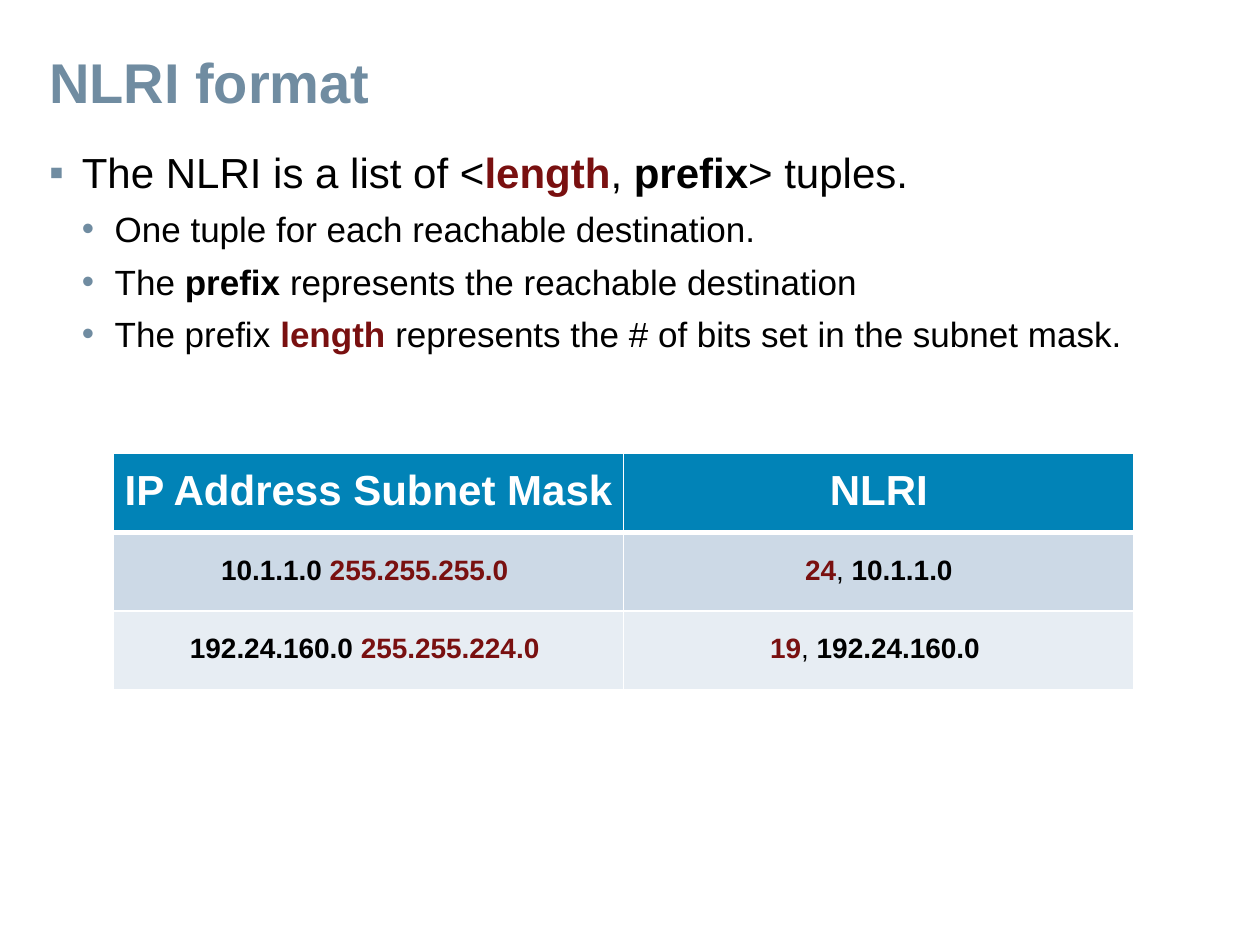
import pptx
import pptx.util
import pptx.dml.color
import pptx.enum.text
import pptx.oxml
import pptx.oxml.ns

COLORS = {"title": "708CA1", "text": "000000", "key": "791010", "white": "FFFFFF",
          "head": "0183B7", "odd": "CCD9E6", "even": "E7EDF3"}

# Run looks: colour name and weight
LOOKS = {"plain": ("text", False), "bold": ("text", True), "key": ("key", True),
         "title": ("title", True), "head": ("white", True)}

# Paragraphs and cells are lists of (text, look) runs
TITLE = [("NLRI format", "title")]
BULLETS = [
    (0, [("The NLRI is a list of <", "plain"), ("length", "key"), (", ", "plain"),
         ("prefix", "bold"), ("> tuples.", "plain")]),
    (1, [("One tuple for each reachable destination.", "plain")]),
    (1, [("The", "plain"), (" prefix ", "bold"),
         ("represents the reachable destination", "plain")]),
    (1, [("The prefix ", "plain"), ("length ", "key"),
         ("represents the # of bits set in the subnet mask.", "plain")]),
]
ROWS = [
    [[("IP Address Subnet Mask", "head")], [("NLRI", "head")]],
    [[("10.1.1.0 ", "bold"), ("255.255.255.0 ", "key")],
     [("24", "key"), (", ", "plain"), ("10.1.1.0", "bold")]],
    [[("192.24.160.0 ", "bold"), ("255.255.224.0 ", "key")],
     [("19", "key"), (", ", "plain"), ("192.24.160.0 ", "bold")]],
]


def assign(item, values):
    for name, value in values.items():
        setattr(item, name, value)


def color(name):
    return pptx.dml.color.RGBColor.from_string(COLORS[name])


def add_xml(parent, body):
    space = pptx.oxml.ns.nsdecls("a")
    parent.append(pptx.oxml.parse_xml(body.replace(" ns", f" {space}", 1)))


class Deck:
    font = "Arial"
    marks = ("▪", "•")
    sizes = (24, 20)
    step = 0.26

    def __init__(self, wide, high):
        self.file = pptx.Presentation()
        assign(self.file, {"slide_width": pptx.util.Inches(wide),
                           "slide_height": pptx.util.Inches(high)})
        self.slide = self.file.slides.add_slide(self.file.slide_layouts[6])

    def area(self, left, top, width, height):
        """Turn shares of the slide into lengths."""
        wide, high = self.file.slide_width, self.file.slide_height
        return [round(part * full) for part, full in
                ((left, wide), (top, high), (width, wide), (height, high))]

    def fill_text(self, para, runs, size, **form):
        assign(para, form)
        for text, look in runs:
            tint, bold = LOOKS[look]
            run = para.add_run()
            run.text = text
            assign(run.font, {"name": self.font, "size": pptx.util.Pt(size), "bold": bold})
            run.font.color.rgb = color(tint)

    def box(self, place, anchor):
        frame = self.slide.shapes.add_textbox(*self.area(*place)).text_frame
        side, edge = pptx.util.Inches(0.09), pptx.util.Inches(0.04)
        assign(frame, {"word_wrap": True, "vertical_anchor": anchor,
                       "margin_left": side, "margin_right": side,
                       "margin_top": edge, "margin_bottom": edge})
        return frame

    def title(self, place, runs):
        frame = self.box(place, pptx.enum.text.MSO_ANCHOR.MIDDLE)
        self.fill_text(frame.paragraphs[0], runs, 32, line_spacing=0.9)

    def bullets(self, place, items):
        frame = self.box(place, pptx.enum.text.MSO_ANCHOR.TOP)
        for i, (level, runs) in enumerate(items):
            para = frame.add_paragraph() if i else frame.paragraphs[0]
            self.fill_text(para, runs, self.sizes[level], level=level,
                           space_after=pptx.util.Pt(6))
            props = para._p.get_or_add_pPr()
            props.set("marL", str(pptx.util.Inches(self.step * (level + 1))))
            props.set("indent", str(-pptx.util.Inches(self.step)))
            add_xml(props, f'<a:buClr ns><a:srgbClr val="{COLORS["title"]}"/></a:buClr>')
            add_xml(props, f'<a:buFont ns typeface="{self.font}"/>')
            add_xml(props, f'<a:buChar ns char="{self.marks[level]}"/>')

    def border(self, cell, widths):
        for side, width in widths.items():
            add_xml(cell._tc.get_or_add_tcPr(),
                    f'<a:ln{side} ns w="{pptx.util.Pt(width)}"><a:solidFill>'
                    f'<a:srgbClr val="{COLORS["white"]}"/></a:solidFill></a:ln{side}>')

    def table(self, place, rows):
        shape = self.slide.shapes.add_table(len(rows), len(rows[0]), *self.area(*place))
        for r, row in enumerate(rows):
            fill = "odd" if r % 2 else "even"
            for c, runs in enumerate(row):
                cell = shape.table.cell(r, c)
                assign(cell, {"vertical_anchor": pptx.enum.text.MSO_ANCHOR.MIDDLE,
                              "margin_left": pptx.util.Inches(0.08),
                              "margin_right": pptx.util.Inches(0.08)})
                # The rule under the header is thicker
                self.border(cell, {"L": 1, "R": 1, "T": 3 if r == 1 else 1,
                                   "B": 1 if r else 3})
                cell.fill.solid()
                cell.fill.fore_color.rgb = color(fill if r else "head")
                self.fill_text(cell.text_frame.paragraphs[0], runs, 16 if r else 24,
                               alignment=pptx.enum.text.PP_ALIGN.CENTER,
                               line_spacing=0.9)


def main():
    deck = Deck(10, 7.5)
    # Heading
    deck.title((0.03, 0.05, 0.93, 0.08), TITLE)
    # Explanation
    deck.bullets((0.03, 0.15, 0.93, 0.79), BULLETS)
    # Examples
    deck.table((0.09, 0.48, 0.81, 0.25), ROWS)
    deck.file.save("out.pptx")


if __name__ == "__main__":
    main()
